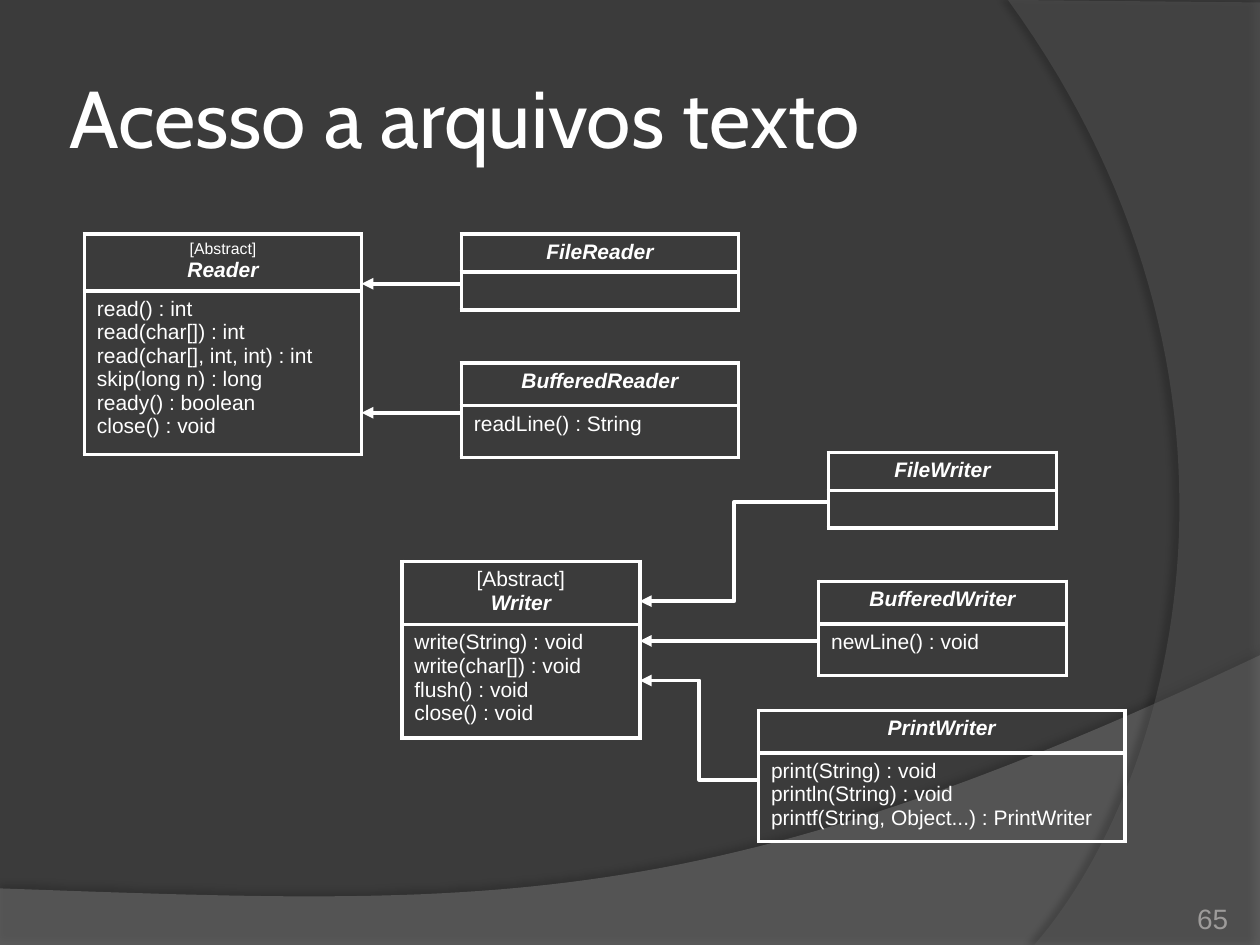
from lxml import etree
from pptx import Presentation
from pptx.dml import color as dml
from pptx.enum import shapes, text
from pptx.oxml import ns
from pptx.util import Cm, Pt

COLORS = {"background": "3B3B3B", "bottom wave": "7F7F7F", "right wave": "5E5E5E",
          "ink": "FFFFFF", "number": "9D9B9A", "shadow": "000000"}
HEADER, BODY, EMPTY = 0.86, 1.04, 0.73
LINE_WIDTH = Pt(2.25)


def rgb(name):
    """Return the named colour."""
    return dml.RGBColor.from_string(COLORS[name])


def add_xml(parent, tag, **attributes):
    """Append a DrawingML element and return it."""
    return etree.SubElement(parent, ns.qn(tag), attributes)


def format_runs(paragraph, size, color="ink", font="Arial", strong=False):
    """Format every run of a paragraph."""
    for run in paragraph.runs:
        run.font.name, run.font.size = font, Pt(size)
        run.font.bold = run.font.italic = strong
        run.font.color.rgb = rgb(color)


def bezier(start, first, second, end, steps=60):
    """Return points along a cubic curve, without its start."""
    points = []
    for step in range(1, steps + 1):
        t = step / steps
        weights = ((1 - t) ** 3, 3 * t * (1 - t) ** 2, 3 * t * t * (1 - t), t ** 3)
        points.append(tuple(sum(w * p[axis] for w, p in zip(weights, (start, first, second, end)))
                            for axis in (0, 1)))
    return points


def add_wave(slide, color, corners, curve, opacity, shadow):
    """Draw a translucent background wave with a soft shadow."""
    outline = [(Cm(x), Cm(y)) for x, y in corners + bezier(corners[-1], *curve)]
    builder = slide.shapes.build_freeform(*outline[0])
    builder.add_line_segments(outline[1:], close=True)
    wave = builder.convert_to_shape()
    wave.fill.solid()
    wave.fill.fore_color.rgb = rgb(color)
    wave.line.fill.background()
    fill_color = wave._element.spPr.find(".//" + ns.qn("a:srgbClr"))
    add_xml(fill_color, "a:alpha", val=str(opacity * 1000))
    shadow_opacity, distance, direction = shadow
    effects = add_xml(wave._element.spPr, "a:effectLst")
    outer = add_xml(effects, "a:outerShdw", blurRad=str(Pt(4)), dist=str(Pt(distance)),
                    dir=str(direction * 60000), algn="ctr", rotWithShape="0")
    shade = add_xml(outer, "a:srgbClr", val=COLORS["shadow"])
    add_xml(shade, "a:alpha", val=str(shadow_opacity * 1000))


def add_label(slide, box, words, size, color, font, anchor, align, margin):
    """Place a single line of text in a box."""
    label = slide.shapes.add_textbox(*map(Cm, box))
    frame = label.text_frame
    frame.word_wrap = True
    frame.vertical_anchor = anchor
    frame.margin_left = frame.margin_right = frame.margin_top = frame.margin_bottom = Cm(margin)
    frame.text = words
    frame.paragraphs[0].alignment = align
    format_runs(frame.paragraphs[0], size, color, font)


def border_cell(cell):
    """Clear a cell's fill and outline its four sides."""
    cell.fill.background()
    properties = cell._tc.get_or_add_tcPr()
    for index, side in enumerate(("a:lnL", "a:lnR", "a:lnT", "a:lnB")):
        line = etree.Element(ns.qn(side), w=str(LINE_WIDTH))
        add_xml(add_xml(line, "a:solidFill"), "a:srgbClr", val=COLORS["ink"])
        properties.insert(index, line)


def add_class(slide, left, top, width, name, methods=(), abstract_size=None):
    """Draw a class as a name cell above a methods cell."""
    heights = (HEADER, BODY) if methods else (EMPTY, EMPTY)
    table = slide.shapes.add_table(2, 1, Cm(left), Cm(top), Cm(width), Cm(sum(heights))).table
    table.first_row = table.horz_banding = False
    for row, height in zip(table.rows, heights):
        row.height = Cm(height)
    header, body = table.cell(0, 0), table.cell(1, 0)
    border_cell(header)
    border_cell(body)
    header.text_frame.text = f"[Abstract]\n{name}" if abstract_size else name
    for paragraph in header.text_frame.paragraphs:
        paragraph.alignment = text.PP_ALIGN.CENTER
        is_name = paragraph.text == name
        format_runs(paragraph, 12 if is_name else abstract_size, strong=is_name)
    body.text_frame.text = "\n".join(methods)
    for paragraph in body.text_frame.paragraphs:
        format_runs(paragraph, 12)
        if not methods:
            add_xml(paragraph._p, "a:endParaRPr", sz="1200")


def add_inheritance(slide, start, end):
    """Draw an arrow from a subclass to its parent."""
    straight = start[1] == end[1]
    kind = shapes.MSO_CONNECTOR.STRAIGHT if straight else shapes.MSO_CONNECTOR.ELBOW
    arrow = slide.shapes.add_connector(kind, *map(Cm, start + end))
    arrow.line.width = LINE_WIDTH
    arrow.line.color.rgb = rgb("ink")
    add_xml(arrow.line._get_or_add_ln(), "a:tailEnd", type="triangle")
    add_xml(arrow._element.spPr, "a:effectLst")


def add_backdrop(slide, width, height):
    """Paint the background and its two waves."""
    slide.background.fill.solid()
    slide.background.fill.fore_color.rgb = rgb("background")
    add_wave(slide, "bottom wave", [(0, 17.91), (0, height), (width, height), (width, 13.21)],
             [(14.2, 18.52), (9.93, 18.26), (0, 17.91)], 45, (35, 3.5, 270))
    add_wave(slide, "right wave", [(width, 0.05), (width, height), (20.85, height)],
             [(23.75, 15.72), (25.86, 7.62), (20.32, 0)], 40, (45, 4, 180))


def add_readers(slide, left, top):
    """Draw the Reader hierarchy."""
    width, column = 5.59, left + 7.6
    add_class(slide, left, top, width, "Reader",
              ["read() : int", "read(char[]) : int", "read(char[], int, int) : int",
               "skip(long n) : long", "ready() : boolean", "close() : void"], abstract_size=9)
    add_class(slide, column, top + 2.6, width, "BufferedReader", ["readLine() : String"])
    add_class(slide, column, top, width, "FileReader")
    for drop in (1, 3.6):
        add_inheritance(slide, (column, top + drop), (left + width, top + drop))


def add_writers(slide, left, top):
    """Draw the Writer hierarchy."""
    width = 4.8
    add_class(slide, left + 7.19, top + 3, 7.39, "PrintWriter",
              ["print(String) : void", "println(String) : void",
               "printf(String, Object...) : PrintWriter"])
    add_class(slide, left + 8.4, top + 0.4, 5, "BufferedWriter", ["newLine() : void"])
    add_class(slide, left + 8.6, top - 2.2, 4.6, "FileWriter")
    add_class(slide, left, top, width, "Writer",
              ["write(String) : void", "write(char[]) : void", "flush() : void",
               "close() : void"], abstract_size=12)
    for offset, start_drop, end_drop in ((8.4, 1.6, 1.6), (8.6, -1.2, 0.8), (7.19, 4.4, 2.4)):
        add_inheritance(slide, (left + offset, top + start_drop), (left + width, top + end_drop))


def main():
    """Build and save the slide."""
    width, height = 25.4, 19.05
    deck = Presentation()
    deck.slide_width, deck.slide_height = Cm(width), Cm(height)
    slide = deck.slides.add_slide(deck.slide_layouts[6])
    add_backdrop(slide, width, height)
    add_label(slide, (1.27, 0.76, 20.75, 3.18), "Acesso a arquivos texto", 46, "ink", "Cabin",
              text.MSO_ANCHOR.MIDDLE, text.PP_ALIGN.LEFT, 0.13)
    add_label(slide, (22.66, 17.83, 2.1, 1.02), "65", 16, "number", "Arial",
              text.MSO_ANCHOR.BOTTOM, text.PP_ALIGN.RIGHT, 0)
    add_readers(slide, 1.7, 4.72)
    add_writers(slide, 8.1, 11.32)
    deck.save("out.pptx")


if __name__ == "__main__":
    main()
